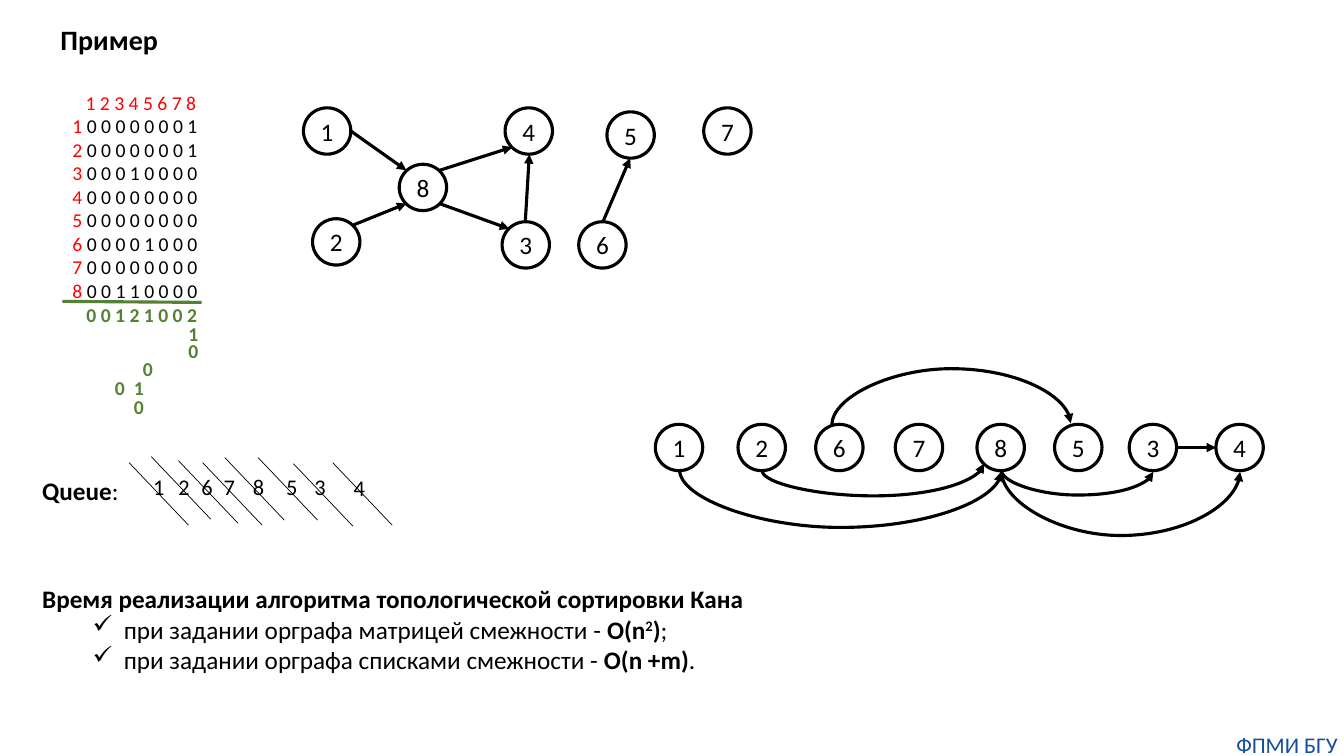
import pptx
import pptx.dml.color
import pptx.enum.shapes
import pptx.enum.text
import pptx.oxml
import pptx.oxml.ns
import pptx.util
from pptx.util import Inches

BLACK = pptx.dml.color.RGBColor(0x00, 0x00, 0x00)
RED = pptx.dml.color.RGBColor(0xFF, 0x00, 0x00)
GREEN = pptx.dml.color.RGBColor(0x54, 0x82, 0x35)
BLUE = pptx.dml.color.RGBColor(0x14, 0x4E, 0x9D)

CONNECTOR = pptx.enum.shapes.MSO_CONNECTOR
ALIGN = pptx.enum.text.PP_ALIGN
ANCHOR = pptx.enum.text.MSO_ANCHOR

NODE_WIDTH, NODE_HEIGHT = 0.47, 0.46
SORTED_TOP = 4.21

GRAPH_NODES = [
    ("1", 3.01, 1.07), ("5", 6.02, 1.11), ("2", 3.1, 2.17), ("3", 4.98, 2.2),
    ("7", 6.98, 1.07), ("6", 5.74, 2.2), ("4", 5.01, 1.07), ("8", 3.96, 1.63),
]
SORTED_NODES = [
    ("1", 6.5), ("2", 7.32), ("6", 8.09), ("7", 8.88),
    ("8", 9.69), ("5", 10.46), ("3", 11.2), ("4", 12.06),
]
STRAIGHT_ARROWS = [
    (3.48, 1.3, 4.03, 1.69), (3.51, 2.23, 4.03, 2.02), (4.36, 1.69, 5.08, 1.46),
    (4.36, 2.02, 5.05, 2.27), (5.21, 2.2, 5.25, 1.53), (5.98, 2.2, 6.25, 1.57),
    (11.67, 4.44, 12.06, 4.44),
]
CURVED_ARROWS = [
    (6.74, 4.66, 9.93, 4.68, 5.23), (7.56, 4.67, 9.76, 4.6, 4.92),
    (9.93, 4.66, 12.3, 4.68, 5.31), (9.93, 4.66, 11.44, 4.68, 4.91),
    (8.25, 4.22, 10.62, 4.2, 3.66),
]
MATRIX_ROWS = [
    "0 0 0 0 0 0 0 1", "0 0 0 0 0 0 0 1", "0 0 0 1 0 0 0 0", "0 0 0 0 0 0 0 0",
    "0 0 0 0 0 0 0 0", "0 0 0 0 1 0 0 0", "0 0 0 0 0 0 0 0", "0 0 1 1 0 0 0 0",
]
DEGREES = [
    ("0 0 1 2 1 0 0 2", 0.76, 2.96), ("1", 1.77, 3.14), ("0", 1.77, 3.31),
    ("0", 1.32, 3.49), ("0\t1", 1.04, 3.68), ("0", 1.23, 3.87),
]
QUEUE = [
    ("1", 1.42, 4.64), ("2", 1.67, 4.64), ("6", 1.9, 4.64), ("7", 2.12, 4.64),
    ("8", 2.41, 4.64), ("5", 2.74, 4.64), ("3", 3.02, 4.64), ("4", 3.41, 4.65),
]
STRIKES = [
    (1.28, 4.59), (1.5, 4.53), (1.77, 4.57), (2.01, 4.59),
    (2.23, 4.54), (2.56, 4.54), (2.91, 4.6), (3.3, 4.59),
]


def add_xml(parent, tag, content="", **attributes):
    namespace = pptx.oxml.ns.nsdecls("a")
    values = " ".join(f'{name}="{value}"' for name, value in attributes.items())
    parent.append(pptx.oxml.parse_xml(f"<a:{tag} {namespace} {values}>{content}</a:{tag}>"))


def add_run(paragraph, text, size, color=BLACK, bold=False):
    run = paragraph.add_run()
    run.text = text
    values = {"name": "Calibri", "size": pptx.util.Pt(size), "bold": bold}
    for name, value in values.items():
        setattr(run.font, name, value)
    run.font.color.rgb = color
    return run


def format_frame(frame, wrap=True, anchor=ANCHOR.TOP, inset=None):
    values = {"word_wrap": wrap, "vertical_anchor": anchor}
    if inset is not None:
        sides = ("left", "right", "top", "bottom")
        values.update({f"margin_{side}": Inches(inset) for side in sides})
    for name, value in values.items():
        setattr(frame, name, value)


def add_text(slide, left, top, width, height, runs, wrap=True, inset=None):
    box = slide.shapes.add_textbox(Inches(left), Inches(top), Inches(width), Inches(height))
    format_frame(box.text_frame, wrap, inset=inset)
    paragraph = box.text_frame.paragraphs[0]
    for run in runs:
        add_run(paragraph, *run)
    return box.text_frame


def add_node(slide, label, left, top):
    node = slide.shapes.add_shape(
        pptx.enum.shapes.MSO_SHAPE.OVAL,
        Inches(left), Inches(top), Inches(NODE_WIDTH), Inches(NODE_HEIGHT),
    )
    node.shadow.inherit = False
    node.fill.background()
    node.line.color.rgb = BLACK
    node.line.width = pptx.util.Pt(2.25)
    format_frame(node.text_frame, False, ANCHOR.MIDDLE, 0)
    paragraph = node.text_frame.paragraphs[0]
    paragraph.alignment = ALIGN.CENTER
    add_run(paragraph, label, 18)


def add_line(slide, ends, width=2.25, color=BLACK, arrow=False, kind=CONNECTOR.STRAIGHT):
    line = slide.shapes.add_connector(kind, *(Inches(end) for end in ends))
    line.line.color.rgb = color
    line.line.width = pptx.util.Pt(width)
    if arrow:
        add_xml(line.line._get_or_add_ln(), "tailEnd", type="triangle")
    add_xml(line._element.spPr, "effectLst")
    return line


def add_curve(slide, x1, y1, x2, y2, bend):
    middle_x, middle_y = (x1 + x2) / 2, (y1 + y2) / 2
    half_x, half_y = (x2 - x1) / 2, (y2 - y1) / 2
    ends = (middle_x - half_y, middle_y + half_x, middle_x + half_y, middle_y - half_x)
    curve = add_line(slide, ends, arrow=True, kind=CONNECTOR.CURVE)
    properties = curve._element.spPr
    properties.find(pptx.oxml.ns.qn("a:xfrm")).set("rot", "5400000")
    adjustments = properties.find(".//" + pptx.oxml.ns.qn("a:avLst"))
    ratio = round((bend - y1) / (y2 - y1) * 100000)
    add_xml(adjustments, "gd", name="adj1", fmla=f"val {ratio}")


def add_title(slide):
    title = slide.shapes.title
    place = {"left": 0.5, "top": 0.17, "width": 1.3, "height": 0.44}
    for name, value in place.items():
        setattr(title, name, Inches(value))
    format_frame(title.text_frame, False)
    paragraph = title.text_frame.paragraphs[0]
    paragraph.alignment = ALIGN.LEFT
    add_run(paragraph, "Пример", 20, BLACK, True)


def add_matrix(slide):
    frame = add_text(slide, 0.62, 0.85, 1.59, 2.22, [("1 2 3 4 5 6 7 8", 14, RED)])
    frame.paragraphs[0]._p.get_or_add_pPr().set("marL", str(Inches(0.13)))
    for number, row in enumerate(MATRIX_ROWS, 1):
        paragraph = frame.add_paragraph()
        add_run(paragraph, f"{number} ", 14, RED)
        add_run(paragraph, row, 14)
    for text, left, top in DEGREES:
        frame = add_text(slide, left, top, 1.5, 0.34, [(text, 14, GREEN, True)])
        if "\t" in text:
            stop = f'<a:tab pos="{Inches(0.19)}" algn="l"/>'
            add_xml(frame.paragraphs[0]._p.get_or_add_pPr(), "tabLst", stop)
    add_line(slide, (0.62, 2.99, 2, 3), color=GREEN)


def add_queue(slide):
    runs = [("Queue", 18, BLACK, True), (":", 18)]
    add_text(slide, 0.32, 4.67, 0.96, 0.4, runs, wrap=False)
    for label, left, top in QUEUE:
        add_text(slide, left, top, 0.32, 0.37, [(label, 16)], wrap=False)
    for x, y in STRIKES:
        add_line(slide, (x, y, x + 0.59, y + 0.62), width=0.5)


def add_bullet(frame, runs):
    paragraph = frame.add_paragraph()
    paragraph.level = 1
    properties = paragraph._p.get_or_add_pPr()
    properties.set("marL", str(Inches(0.81)))
    properties.set("indent", str(Inches(-0.31)))
    add_xml(properties, "buChar", char="✓")
    return [add_run(paragraph, text, 18, BLACK, bold) for text, bold in runs]


def add_complexity(slide):
    heading = "Время реализации алгоритма топологической сортировки Кана"
    frame = add_text(slide, 0.32, 5.74, 10.99, 1.01, [(heading, 18, BLACK, True)])
    matrix_runs = add_bullet(frame, [
        ("при задании орграфа матрицей смежности - ", False),
        ("O(n", True), ("2", True), (")", True), (";", False),
    ])
    matrix_runs[2]._r.get_or_add_rPr().set("baseline", "30000")
    add_bullet(frame, [
        ("при задании орграфа списками смежности - ", False),
        ("O(n +m)", True), (".", False),
    ])


def main():
    presentation = pptx.Presentation()
    presentation.slide_width = Inches(13.33)
    presentation.slide_height = Inches(7.5)
    slide = presentation.slides.add_slide(presentation.slide_layouts[5])
    add_title(slide)
    for label, left, top in GRAPH_NODES:
        add_node(slide, label, left, top)
    for label, left in SORTED_NODES:
        add_node(slide, label, left, SORTED_TOP)
    for ends in STRAIGHT_ARROWS:
        add_line(slide, ends, arrow=True)
    for curve in CURVED_ARROWS:
        add_curve(slide, *curve)
    add_matrix(slide)
    add_queue(slide)
    add_complexity(slide)
    footer = add_text(slide, 12.2, 7.25, 1.13, 0.27, [("ФПМИ БГУ", 16, BLUE)], inset=0)
    footer.paragraphs[0].alignment = ALIGN.CENTER
    presentation.save("out.pptx")


if __name__ == "__main__":
    main()
